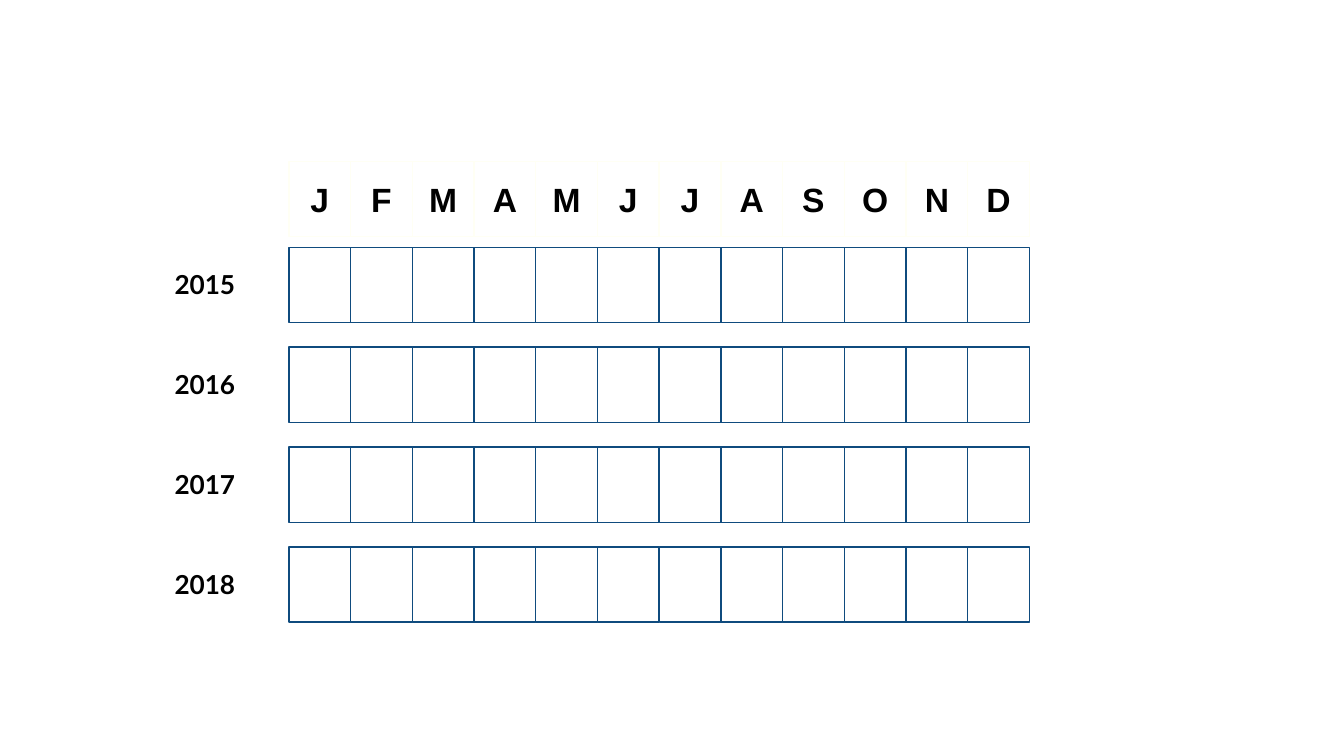
import pptx
import pptx.dml.color
import pptx.enum.shapes
import pptx.enum.text
import pptx.util

Inches = pptx.util.Inches
Anchor = pptx.enum.text.MSO_ANCHOR
Align = pptx.enum.text.PP_ALIGN

MONTHS = "JFMAMJJASOND"
YEARS = ["2015", "2016", "2017", "2018"]

SLIDE_WIDTH = 10
GRID_LEFT, HEADER_TOP, FIRST_ROW_TOP = 2.15, 1.2, 1.84
CELL_WIDTH = 5.51 / len(MONTHS)
CELL_HEIGHT = 0.56
ROW_STEP = 2.23 / (len(YEARS) - 1)

MARGINS = {f"margin_{side}": Inches(0.1) for side in ("left", "top", "right", "bottom")}
MONTH_FRAME = {**MARGINS, "word_wrap": True, "vertical_anchor": Anchor.MIDDLE}
YEAR_FRAME = {**MARGINS, "word_wrap": True, "vertical_anchor": Anchor.TOP,
              "auto_size": pptx.enum.text.MSO_AUTO_SIZE.SHAPE_TO_FIT_TEXT}
MONTH_FONT = {"name": "Arial", "size": pptx.util.Pt(18), "bold": True}
YEAR_FONT = {"name": "Lato", "size": pptx.util.Pt(14), "bold": True}


def color(hex_value):
    return pptx.dml.color.RGBColor.from_string(hex_value)


def write(shape, text, frame_format, font_format, alignment):
    for name, value in frame_format.items():
        setattr(shape.text_frame, name, value)
    paragraph = shape.text_frame.paragraphs[0]
    paragraph.alignment = alignment
    run = paragraph.add_run()
    run.text = text
    for name, value in font_format.items():
        setattr(run.font, name, value)
    run.font.color.rgb = color("000000")


# Widescreen 16:9 slide
presentation = pptx.Presentation()
presentation.slide_width = Inches(SLIDE_WIDTH)
presentation.slide_height = Inches(SLIDE_WIDTH * 9 / 16)
slide = presentation.slides.add_slide(presentation.slide_layouts[6])

# Year rows from top to bottom, then the month header
rows = [(year, FIRST_ROW_TOP + index * ROW_STEP, "0F4B7E")
        for index, year in enumerate(YEARS)]
rows.append((None, HEADER_TOP, "FFFFF4"))

for year, top, line_color in rows:
    group = slide.shapes.add_group_shape()

    # Year label
    if year:
        label = group.shapes.add_textbox(
            Inches(1.2), Inches(top + 0.06), Inches(0.75), Inches(0.44))
        write(label, year, YEAR_FRAME, YEAR_FONT, Align.LEFT)

    # One cell per month
    for column, month in enumerate(MONTHS):
        cell = group.shapes.add_shape(
            pptx.enum.shapes.MSO_SHAPE.RECTANGLE,
            Inches(GRID_LEFT + column * CELL_WIDTH), Inches(top),
            Inches(CELL_WIDTH), Inches(CELL_HEIGHT))
        cell.shadow.inherit = False
        cell.fill.solid()
        cell.fill.fore_color.rgb = color("FFFFFF")
        cell.line.color.rgb = color(line_color)
        cell.line.width = pptx.util.Pt(0.75)
        if not year:
            write(cell, month, MONTH_FRAME, MONTH_FONT, Align.CENTER)

presentation.save("out.pptx")
